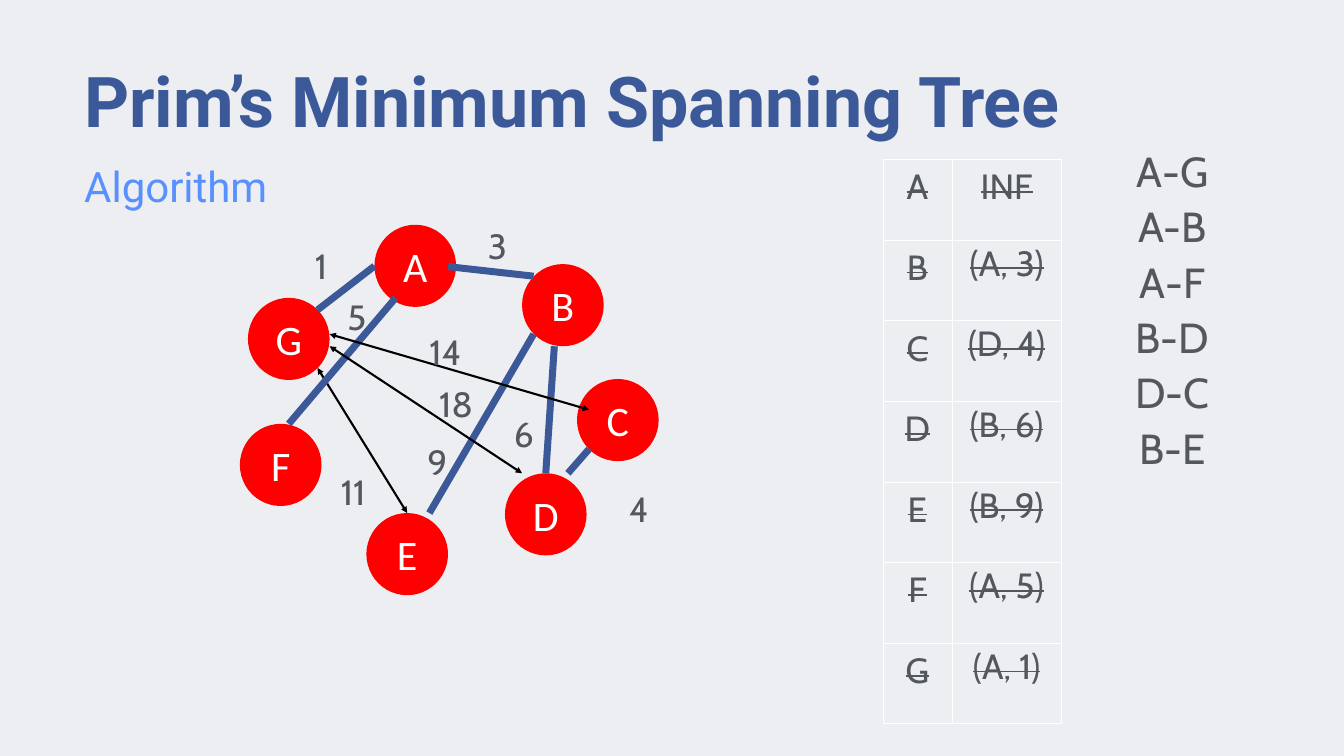
from typing import NamedTuple, Optional

from lxml.etree import SubElement
from pptx import Presentation
from pptx.dml.color import RGBColor
from pptx.enum.shapes import MSO_CONNECTOR as Line, MSO_SHAPE as Shape
from pptx.enum.text import MSO_ANCHOR as Anchor, MSO_AUTO_SIZE as Fit, PP_ALIGN as Align
from pptx.oxml.ns import qn
from pptx.util import Inches, Pt

NAVY, SKY, GREY = "3B5998", "5890FF", "53585F"
RED, WHITE, BLACK, PALE = "FF0000", "FFFFFF", "000000", "EDEEF1"
NODE_W, NODE_H = 1.62, 1.63
ROW_H = 1.6


class Node(NamedTuple):
    name: str
    x: float
    y: float


class Edge(NamedTuple):
    start: tuple[float, float]
    end: tuple[float, float]
    tree: bool = True
    top_of: Optional[str] = None  # node whose top the edge touches
    at_start: bool = False


class Weight(NamedTuple):
    text: str
    x: float
    y: float
    w: float = 1.28
    h: float = 0.93
    tight: bool = False


NODES = [
    Node("A", 7.43, 4.46), Node("B", 10.36, 5.24), Node("C", 11.45, 7.52),
    Node("D", 10.02, 9.39), Node("E", 7.27, 10.18), Node("F", 4.76, 8.41),
    Node("G", 4.92, 5.91),
]
EDGES = [
    Edge((6.3, 7.3), (8.08, 10.18), tree=False, top_of="E"),
    Edge((6.3, 6.15), (7.43, 5.28)),
    Edge((8.89, 5.29), (10.59, 5.48)),
    Edge((8.52, 10.18), (10.59, 6.63)),
    Edge((7.85, 5.91), (5.73, 8.41)),
    Edge((11.27, 9.39), (11.69, 8.91)),
    Edge((6.54, 6.87), (10.36, 9.39), tree=False),
    Edge((10.83, 9.39), (11, 6.87), top_of="D", at_start=True),
    Edge((11.69, 8.13), (6.54, 6.63), tree=False),
]
WEIGHTS = [
    Weight("3", 9.23, 4.37), Weight("1", 5.73, 4.77),
    Weight("4", 12.04, 9.58), Weight("5", 6.44, 5.77),
    Weight("9", 8.38, 8.61, 0.55, 0.97, True),
    Weight("6", 10.1, 8.05, 0.55, 0.97, True),
    Weight("14", 8.39, 6.42, 0.9, 0.97, True),
    Weight("18", 8.6, 7.45, 0.9, 0.97, True),
    Weight("11", 6.56, 9.21, 0.9, 0.97, True),
]
COSTS = [("A", "INF"), ("B", "(A, 3)"), ("C", "(D, 4)"), ("D", "(B, 6)"),
         ("E", "(B, 9)"), ("F", "(A, 5)"), ("G", "(A, 1)")]
PICKS = ["A-G", "A-B", "A-F", "B-D", "D-C", "B-E"]


def rgb(code: str) -> RGBColor:
    return RGBColor.from_string(code)


def write(frame, text: str, *, size: float, font: str = "Cabin", color: str = GREY,
          bold: bool = False, strike: bool = False, align=Align.CENTER,
          space: float = 1.0) -> None:
    """Fill a text frame, one paragraph for each line of text."""
    for i, line in enumerate(text.split("\n")):
        para = frame.add_paragraph() if i else frame.paragraphs[0]
        para.alignment, para.line_spacing = align, space
        para.space_before = Pt(0)
        run = para.add_run()
        run.text = line
        run.font.name, run.font.size, run.font.bold = font, Pt(size), bold
        run.font.color.rgb = rgb(color)
        if strike:
            run.font._element.set("strike", "sngStrike")


def place(shape, x: float, y: float, w: float, h: float) -> None:
    shape.left, shape.top = Inches(x), Inches(y)
    shape.width, shape.height = Inches(w), Inches(h)


def inset(frame, gap: float = 0, anchor=Anchor.TOP) -> None:
    frame.margin_left = frame.margin_right = Inches(gap)
    frame.margin_top = frame.margin_bottom = Inches(gap)
    frame.vertical_anchor, frame.word_wrap = anchor, True
    frame.auto_size = Fit.NONE


def draw_heads(slide) -> None:
    title, body = slide.shapes.title, slide.placeholders[1]
    place(title, 1.67, 1.14, 23.33, 2.01)
    place(body, 1.67, 3.19, 23.33, 1.22)
    for shape in (title, body):
        inset(shape.text_frame)
    write(title.text_frame, "Prim’s Minimum Spanning Tree", size=100,
          font="Roboto", color=NAVY, bold=True, align=Align.LEFT)
    write(body.text_frame, "Algorithm", size=60, font="Roboto", color=SKY,
          align=Align.LEFT)
    props = body.text_frame.paragraphs[0]._p.get_or_add_pPr()
    props.set("marL", "0")
    props.set("indent", "0")
    SubElement(props, qn("a:buNone"))


def draw_node(slide, node: Node):
    disc = slide.shapes.add_shape(Shape.OVAL, Inches(node.x), Inches(node.y),
                                  Inches(NODE_W), Inches(NODE_H))
    disc.shadow.inherit = False
    disc.fill.solid()
    disc.fill.fore_color.rgb = rgb(RED)
    disc.line.fill.background()
    inset(disc.text_frame, 0.08, Anchor.MIDDLE)
    write(disc.text_frame, node.name, size=60, font="Calibri", color=WHITE)
    return disc


def draw_edge(slide, edge: Edge, discs: dict) -> None:
    ends = [Inches(v) for v in (*edge.start, *edge.end)]
    link = slide.shapes.add_connector(Line.STRAIGHT, *ends)
    if edge.top_of:
        join = link.begin_connect if edge.at_start else link.end_connect
        join(discs[edge.top_of], 0)
    link.line.color.rgb = rgb(NAVY if edge.tree else BLACK)
    link.line.width = Pt(10 if edge.tree else 3)
    if not edge.tree:
        for tag in ("a:headEnd", "a:tailEnd"):
            SubElement(link.line._get_or_add_ln(), qn(tag), type="triangle")
    SubElement(link._element.spPr, qn("a:effectLst"))


def draw_weight(slide, item: Weight) -> None:
    box = slide.shapes.add_textbox(Inches(item.x), Inches(item.y),
                                   Inches(item.w), Inches(item.h))
    frame = box.text_frame
    if not item.tight:
        inset(frame, anchor=Anchor.MIDDLE)
    frame.word_wrap = not item.tight
    frame.auto_size = Fit.SHAPE_TO_FIT_TEXT
    write(frame, item.text, size=50, space=1.1)


def draw_border(cell) -> None:
    props = cell._tc.get_or_add_tcPr()
    for side in ("a:lnL", "a:lnR", "a:lnT", "a:lnB"):
        fill = SubElement(SubElement(props, qn(side), w=str(Pt(1))), qn("a:solidFill"))
        SubElement(fill, qn("a:srgbClr"), val=WHITE)


def draw_costs(slide) -> None:
    table = slide.shapes.add_table(len(COSTS), 2, Inches(17.52), Inches(3.16), Inches(3.54),
                                   Inches(ROW_H * len(COSTS))).table
    table.first_row = table.horz_banding = False
    for col, width in zip(table.columns, (1.37, 2.17)):
        col.width = Inches(width)
    for r, texts in enumerate(COSTS):
        for c, text in enumerate(texts):
            cell = table.cell(r, c)
            draw_border(cell)
            cell.fill.background()
            write(cell.text_frame, text, size=50, strike=True,
                  space=1.0 if text.startswith("(") else 1.1)


def main() -> None:
    deck = Presentation()
    deck.slide_width, deck.slide_height = Inches(26.67), Inches(15)
    slide = deck.slides.add_slide(deck.slide_layouts[1])
    slide.background.fill.solid()
    slide.background.fill.fore_color.rgb = rgb(PALE)

    draw_heads(slide)
    discs = {node.name: draw_node(slide, node) for node in NODES}
    for edge in EDGES:
        draw_edge(slide, edge, discs)
    for item in WEIGHTS:
        draw_weight(slide, item)
    picks = slide.shapes.add_textbox(Inches(21.78), Inches(2.78), Inches(2.97), Inches(10.74))
    inset(picks.text_frame)
    write(picks.text_frame, "\n".join(PICKS), size=60, space=1.1)
    draw_costs(slide)
    deck.save("out.pptx")


if __name__ == "__main__":
    main()
